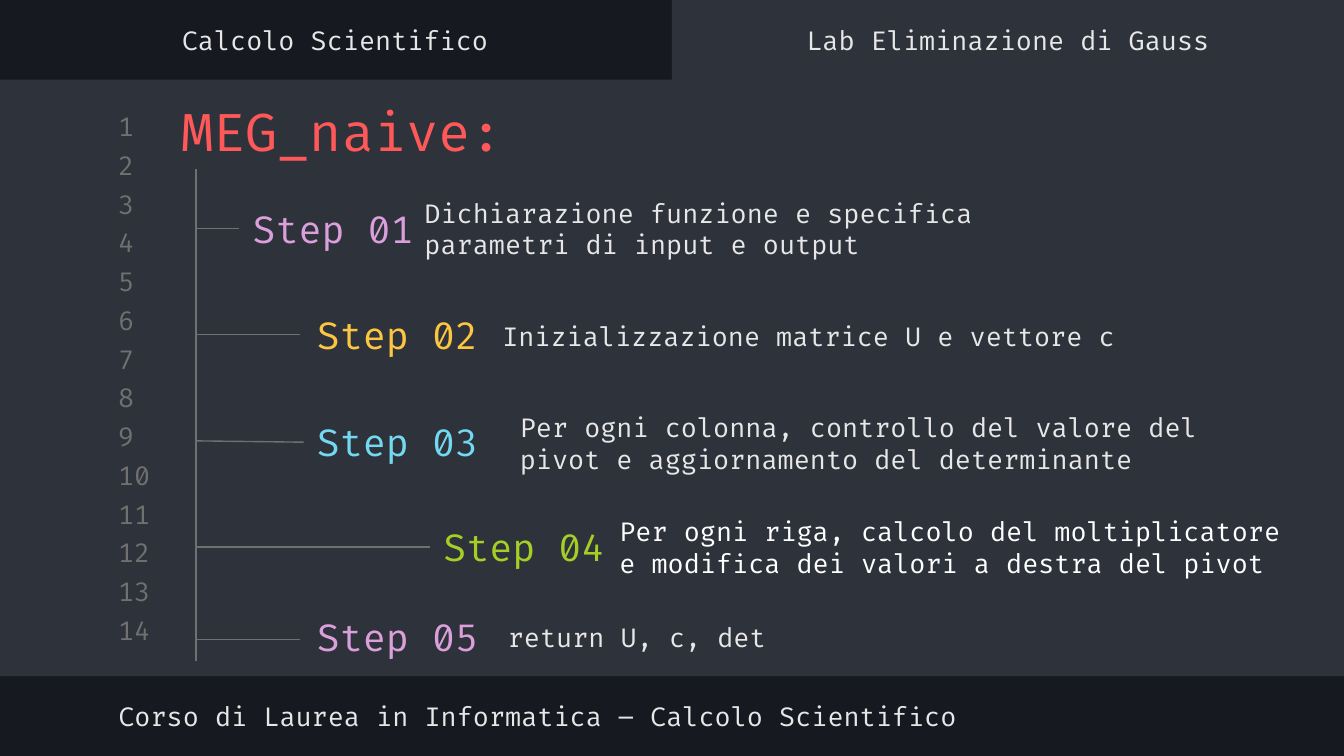
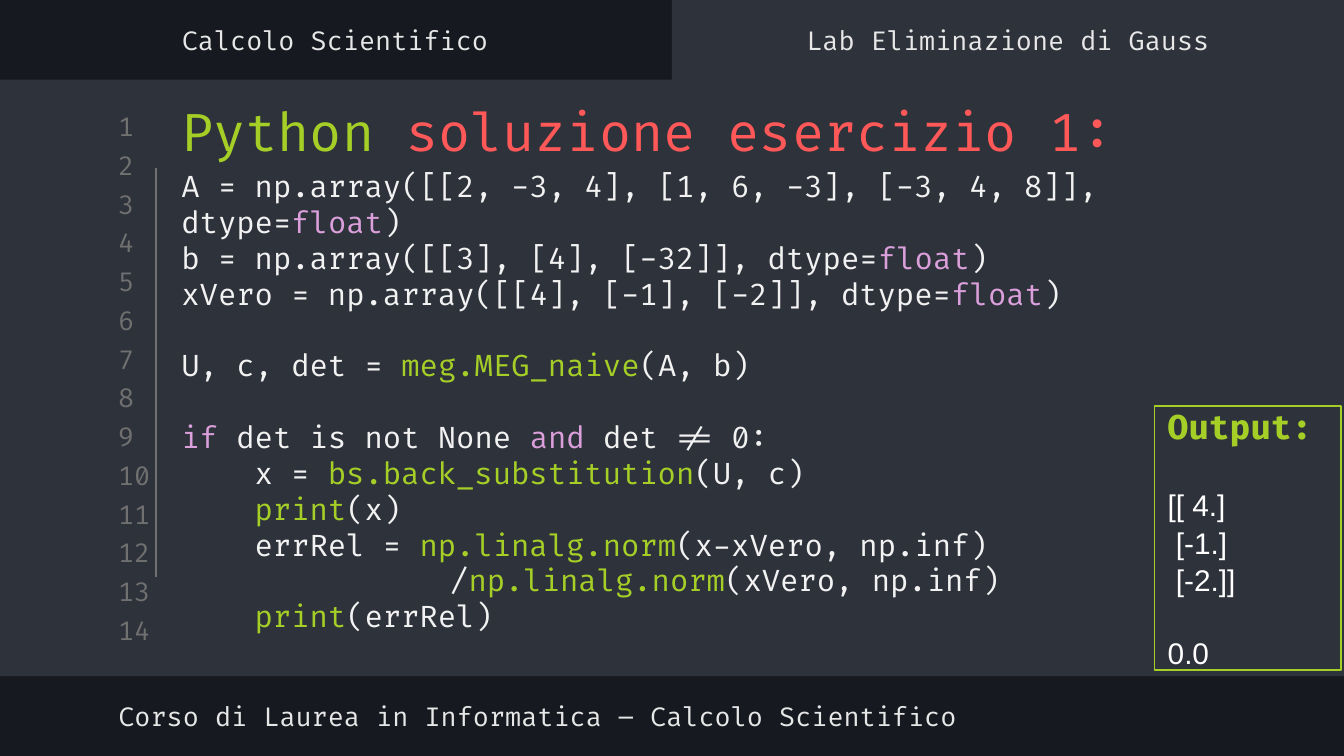
"""Build two lab slides on Gaussian elimination in a code editor style."""
from lxml.etree import SubElement
from pptx import Presentation
from pptx.dml.color import RGBColor
from pptx.enum.shapes import MSO_CONNECTOR, MSO_SHAPE
from pptx.enum.text import MSO_ANCHOR, MSO_AUTO_SIZE, PP_ALIGN
from pptx.oxml.ns import qn
from pptx.util import Pt

DARK = RGBColor(0x16, 0x19, 0x1F)
SLATE = RGBColor(0x2E, 0x32, 0x3B)
GREY = RGBColor(0x70, 0x70, 0x70)
PALE = RGBColor(0xE7, 0xE7, 0xE7)
CODE = RGBColor(0xF2, 0xF2, 0xF2)
WHITE = RGBColor(0xFF, 0xFF, 0xFF)
RED = RGBColor(0xFF, 0x58, 0x58)
PINK = RGBColor(0xDB, 0xA0, 0xDB)
GOLD = RGBColor(0xFC, 0xC6, 0x42)
BLUE = RGBColor(0x72, 0xD9, 0xF0)
LIME = RGBColor(0xA5, 0xCF, 0x27)
MONO = "Fira Code"
SANS = "Arial"
TOP, MID = MSO_ANCHOR.TOP, MSO_ANCHOR.MIDDLE
LEFT, MIDST = PP_ALIGN.LEFT, PP_ALIGN.CENTER


class Deck:
    """Hold the shared style and the slide being built."""

    def __init__(self):
        self.show = Presentation()
        self.show.slide_width, self.show.slide_height = Pt(720), Pt(405)
        back = self.show.slide_master.background.fill
        back.solid()
        back.fore_color.rgb = DARK
        self.slide = None

    def page(self, title):
        layout = self.show.slide_layouts[4]
        self.slide = self.show.slides.add_slide(layout)
        self.band(0, 42.6, 720, 319.6)
        self.band(360, 0, 360, 46.8)
        for row in range(14):
            self.text((56.2, 59 + 20.75 * row, 33.8, 17.3), str(row + 1), GREY)
        self.hold(0, (90, 46, 574, 42.5))
        self.fill(self.slide.shapes.title, title, 28, TOP)
        heads = (
            (1, (56.2, 369.4, 485.3, 28), LEFT,
             "Corso di Laurea in Informatica – Calcolo Scientifico"),
            (2, (-0.5, 7.2, 360, 28), MIDST, "Calcolo Scientifico"),
            (3, (360, 7.2, 360, 28), MIDST, "Lab Eliminazione di Gauss"),
        )
        for slot, box, side, words in heads:
            self.fill(self.hold(slot, box), [(words, PALE)], 14, MID, side)

    def hold(self, slot, box):
        shape = self.slide.placeholders[slot]
        shape.left, shape.top, shape.width, shape.height = map(Pt, box)
        return shape

    def drop(self, slot):
        node = self.slide.placeholders[slot].element
        node.getparent().remove(node)

    def band(self, *box):
        shape = self.rect(box)
        shape.fill.solid()
        shape.fill.fore_color.rgb = SLATE
        shape.line.fill.background()
        self.slide.shapes.element.insert(2, shape.element)

    def rect(self, box):
        shape = self.slide.shapes.add_shape(MSO_SHAPE.RECTANGLE, *map(Pt, box))
        shape.shadow.inherit = False
        return shape

    def frame(self, box, hue):
        shape = self.rect(box)
        shape.fill.background()
        shape.line.color.rgb = hue
        shape.line.width = Pt(1)
        self.setup(shape.text_frame, MID, 7.2)
        return shape.text_frame

    def line(self, *ends):
        wire = self.slide.shapes.add_connector(
            MSO_CONNECTOR.STRAIGHT, *map(Pt, ends))
        wire.line.color.rgb = GREY
        wire.line.width = Pt(0.75)
        SubElement(wire.element.spPr, qn("a:effectLst"))

    def setup(self, frame, place, inset):
        frame.word_wrap = True
        frame.auto_size = MSO_AUTO_SIZE.NONE
        frame.vertical_anchor = place
        frame.margin_left = frame.margin_right = Pt(7.2)
        frame.margin_top = frame.margin_bottom = Pt(inset)

    def row(self, para, runs, size, side=LEFT, indent=0, gap=0,
            font=MONO, bold=False):
        props = para._p.get_or_add_pPr()
        props.set("marL", str(Pt(indent)))
        props.set("indent", "0")
        SubElement(props, qn("a:buNone"))
        para.alignment = side
        para.space_before = Pt(gap)
        for words, hue in runs:
            run = para.add_run()
            run.text = words
            run.font.name = font
            run.font.size = Pt(size)
            run.font.bold = bold
            run.font.color.rgb = hue

    def fill(self, shape, runs, size, place=MID, side=LEFT):
        frame = shape.text_frame
        self.setup(frame, place, 7.2)
        self.row(frame.paragraphs[0], runs, size, side)

    def text(self, box, words, hue, size=14):
        shape = self.slide.shapes.add_textbox(*map(Pt, box))
        self.fill(shape, [(words, hue)], size)

    def code(self, slot, box, rows):
        frame = self.hold(slot, box).text_frame
        self.setup(frame, TOP, 3.6)
        for spot, (indent, gap, runs) in enumerate(rows):
            para = frame.add_paragraph() if spot else frame.paragraphs[0]
            self.row(para, runs, 16, indent=indent, gap=gap)


STEPS = (
    ("Step 01", PINK, 128.2, 99.4, (220.3, 99.4, 313.2, 46),
     "Dichiarazione funzione e specifica parametri di input e output", PALE),
    ("Step 02", GOLD, 162.7, 156.4, (262, 157, 357, 46),
     "Inizializzazione matrice U e vettore c", PALE),
    ("Step 03", BLUE, 162.7, 213.8, (271.4, 208.8, 416.2, 57),
     "Per ogni colonna, controllo del valore del pivot e aggiornamento "
     "del determinante", PALE),
    ("Step 04", LIME, 230.4, 270, (324.7, 270, 375.1, 46),
     "Per ogni riga, calcolo del moltiplicatore e modifica dei valori "
     "a destra del pivot", WHITE),
    ("Step 05", PINK, 162.7, 318.2, (265, 318.2, 211.7, 46),
     "return U, c, det", PALE),
)
TWIGS = (
    (122.4, 128.2, 122.4), (179.3, 160.6, 179.3), (236.2, 162.7, 236.9),
    (293, 230.4, 293), (342.7, 160.6, 342.7),
)
FLOAT = [("float", PINK), (")", CODE)]
TAB, BLANK = 39.2, 19.2
ROWS = (
    (0, 0, [("A = np.array([[2, -3, 4], [1, 6, -3], [-3, 4, 8]], dtype=",
             CODE)] + FLOAT),
    (0, 0, [("b = np.array([[3], [4], [-32]], dtype=", CODE)] + FLOAT),
    (0, 0, [("xVero = np.array([[4], [-1], [-2]], dtype=", CODE)] + FLOAT),
    (0, BLANK, [("U, c, det = ", CODE), ("meg.MEG_naive", LIME),
                ("(A, b)", CODE)]),
    (0, BLANK, [("if ", PINK), ("det is not None ", CODE), ("and ", PINK),
                ("det != 0:", CODE)]),
    (TAB, 0, [("x = ", CODE), ("bs.back_substitution", LIME),
              ("(U, c)", CODE)]),
    (TAB, 0, [("print", LIME), ("(x)", CODE)]),
    (TAB, 0, [("errRel = ", CODE), ("np.linalg.norm", LIME),
              ("(x-xVero, np.inf)", CODE)]),
    (144, 0, [("/", CODE), ("np.linalg.norm", LIME),
              ("(xVero, np.inf)", CODE)]),
    (TAB, 0, [("print", LIME), ("(errRel)", CODE)]),
)
PRINT = (("[[ 4.]", 22), (" [-1.]", 0.8), (" [-2.]]", 0.8), ("0.0", 20))

deck = Deck()

deck.page([("MEG_naive:", RED)])
deck.drop(4)
deck.line(105.1, 90.7, 105.1, 354.2)
for start, end, stop in TWIGS:
    deck.line(105.1, start, end, stop)
for name, hue, left, top, box, words, tone in STEPS:
    deck.text((left, top, 102.2, 46), name, hue, 20)
    deck.text(box, words, tone)

deck.page([("Python", LIME), (" soluzione esercizio 1:", RED)])
deck.line(83.5, 90, 83.5, 308.9)
deck.code(4, (90, 86.4, 628.6, 239.8), ROWS)
panel = deck.frame((618.5, 217.4, 100, 141.8), LIME)
deck.row(panel.paragraphs[0], [("Output:", LIME)], 18, bold=True)
for words, gap in PRINT:
    deck.row(panel.add_paragraph(), [(words, WHITE)], 16, gap=gap, font=SANS)

deck.show.save("out.pptx")
